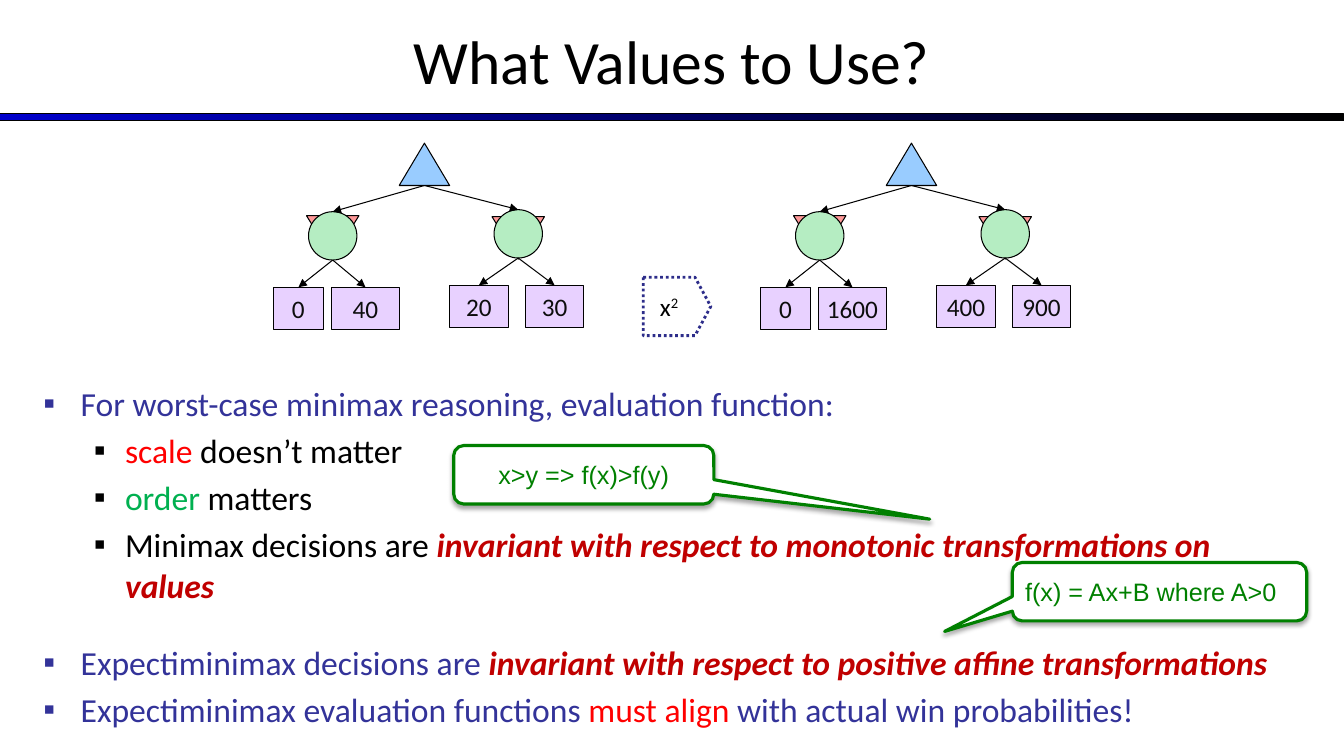
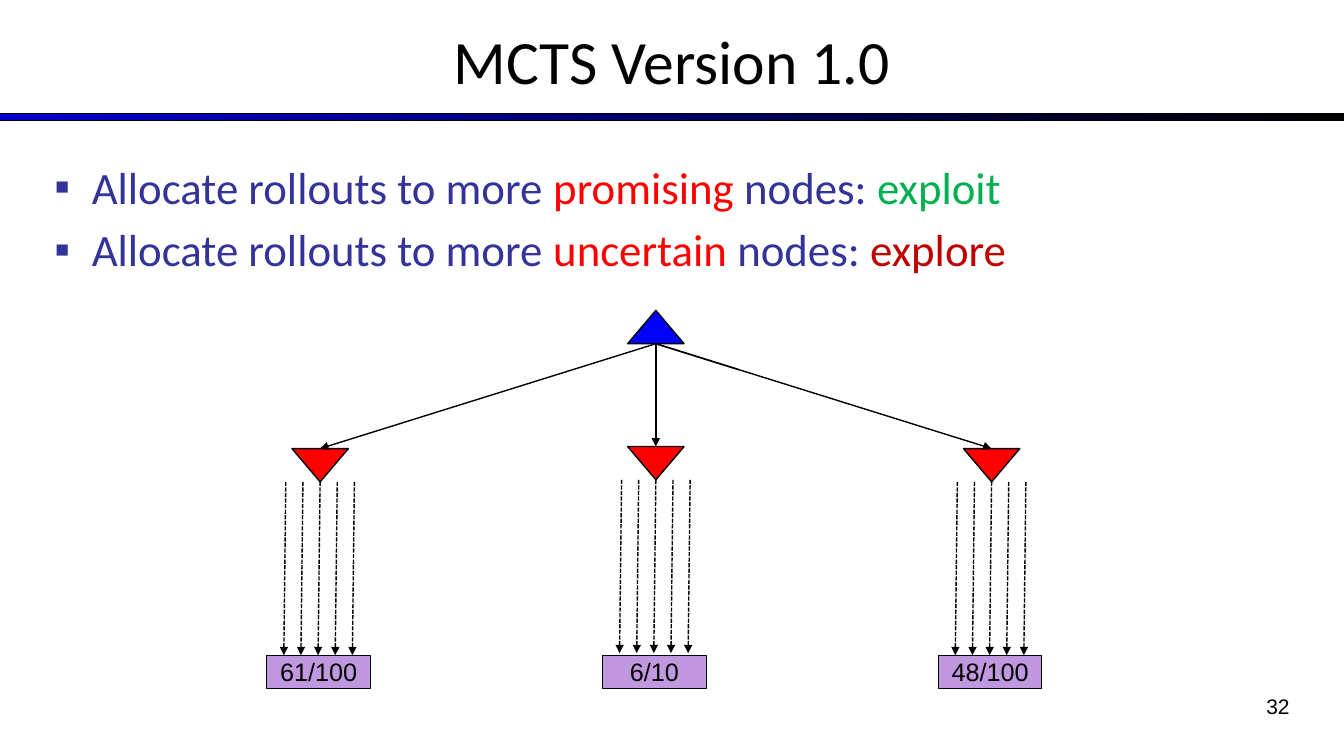
"""Build two lecture slides on evaluation values and Monte Carlo tree search."""
from dataclasses import dataclass

from lxml import etree
from pptx import Presentation
from pptx import util as u
from pptx.dml import color
from pptx.enum import dml, shapes, text
from pptx.oxml import ns

SHAPE = shapes.MSO_SHAPE
ALIGN = text.PP_ALIGN


@dataclass(frozen=True)
class Theme:
    """Colours, fonts and type sizes of the deck."""
    black: str = "000000"
    white: str = "FFFFFF"
    band_start: str = "0000CC"
    bullet_blue: str = "333399"
    arrow_blue: str = "2D2D8A"
    red: str = "FF0000"
    dark_red: str = "C00000"
    green: str = "00B050"
    callout_green: str = "008000"
    max_pale: str = "99CCFF"
    min_pale: str = "FF9999"
    chance: str = "B5EDC2"
    leaf: str = "E8D1FF"
    leaf_text: str = "0D0D0D"
    max_strong: str = "0000FF"
    result: str = "C198E0"
    body_font: str = "Calibri"
    label_font: str = "Arial"
    title_size: int = 44
    label_size: int = 18
    number_size: int = 15


THEME = Theme()


@dataclass(frozen=True)
class Box:
    """A rectangle in inches."""
    left: float
    top: float
    width: float = 0
    height: float = 0

    def inner(self, left, top, width, height):
        """Return a box placed relative to this one."""
        return Box(self.left + left, self.top + top, width, height)

    def point(self, x, y):
        """Return a point placed relative to this box."""
        return self.left + x, self.top + y

    def lengths(self):
        """Return left, top, width and height as lengths."""
        return [u.Inches(value) for value in (self.left, self.top, self.width, self.height)]


def rgb(value):
    """Return a colour object for a hex value."""
    return color.RGBColor.from_string(value)


def style_font(font, size=None, name=None, hue=None):
    """Set the given properties of a font."""
    if size:
        font.size = u.Pt(size)
    if name:
        font.name = name
    if hue:
        font.color.rgb = rgb(hue)


def add_node(slide, kind, box, fill, line=THEME.black, weight=0.75, rotation=0):
    """Add a filled, outlined shape without a shadow."""
    shape = slide.shapes.add_shape(kind, *box.lengths())
    shape.shadow.inherit = False
    shape.fill.solid()
    shape.fill.fore_color.rgb = rgb(fill)
    shape.line.color.rgb = rgb(line)
    shape.line.width = u.Pt(weight)
    shape.rotation = rotation
    return shape


def write_label(shape, words, hue, name, alignment=ALIGN.CENTER, wrap=True):
    """Write one vertically centred paragraph in a shape."""
    frame = shape.text_frame
    frame.word_wrap = wrap
    frame.vertical_anchor = text.MSO_ANCHOR.MIDDLE
    paragraph = frame.paragraphs[0]
    paragraph.alignment = alignment
    style_font(paragraph.font, THEME.label_size, name, hue)
    paragraph.add_run().text = words
    return paragraph


def add_line(slide, start, end, weight=0.75, arrow=True, dash=None):
    """Add a straight line, with an arrowhead at its end if asked."""
    ends = [u.Inches(value) for value in (*start, *end)]
    connector = slide.shapes.add_connector(shapes.MSO_CONNECTOR.STRAIGHT, *ends)
    connector.line.color.rgb = rgb(THEME.black)
    connector.line.width = u.Pt(weight)
    if dash:
        connector.line.dash_style = dash
    if arrow:
        outline = connector.line.fill and connector.get_or_add_ln()
        etree.SubElement(outline, ns.qn("a:tailEnd"), type="triangle")
    properties = connector.element.find(ns.qn("p:spPr"))
    etree.SubElement(properties, ns.qn("a:effectLst"))


def prepare_layout(presentation):
    """Place the title and the gradient band on the shared layout."""
    layout = presentation.slide_layouts[1]
    title = layout.placeholders[0]
    title.left, title.top, title.width, title.height = Box(0, -0.03, 13.33, 1.25).lengths()
    return layout


def add_band(slide, box):
    """Draw the gradient band behind the slide content."""
    band = add_node(slide, SHAPE.RECTANGLE, box, THEME.band_start)
    band.fill.gradient()
    band.fill.gradient_angle = 0
    stops = band.fill.gradient_stops
    for stop, position, hue in zip(stops, (0, 1), (THEME.band_start, THEME.black)):
        stop.position = position
        stop.color.rgb = rgb(hue)
    return band


def add_slide(presentation, layout, heading):
    """Add a slide with its title."""
    slide = presentation.slides.add_slide(layout)
    slide.shapes.title.text_frame.text = heading
    paragraph = slide.shapes.title.text_frame.paragraphs[0]
    paragraph.alignment = ALIGN.CENTER
    style_font(paragraph.font, THEME.title_size, THEME.body_font, THEME.black)
    return slide


def add_bullet(paragraph, level, hue):
    """Give a paragraph a square bullet and hanging indent."""
    margin, hanging = ((0.37, 0.37), (0.81, 0.31))[level]
    paragraph.level = level
    properties = paragraph._p.get_or_add_pPr()
    properties.set("marL", str(u.Inches(margin)))
    properties.set("indent", str(-u.Inches(hanging)))
    bullet_color = etree.SubElement(properties, ns.qn("a:buClr"))
    etree.SubElement(bullet_color, ns.qn("a:srgbClr"), val=hue)
    etree.SubElement(properties, ns.qn("a:buFont"), typeface=THEME.label_font)
    etree.SubElement(properties, ns.qn("a:buChar"), char="▪")


def fill_body(slide, box, size, items):
    """Fill the body with (level, space before, runs) items."""
    body = slide.placeholders[1]
    body.left, body.top, body.width, body.height = box.lengths()
    frame = body.text_frame
    frame.auto_size = text.MSO_AUTO_SIZE.NONE
    for index, (level, space, runs) in enumerate(items):
        paragraph = frame.add_paragraph() if index else frame.paragraphs[0]
        hue = THEME.black if level else THEME.bullet_blue
        add_bullet(paragraph, level, hue)
        paragraph.space_before = u.Pt(space)
        style_font(paragraph.font, size, THEME.body_font, hue)
        for words, accent, strong in runs:
            run = paragraph.add_run()
            run.text = words
            style_font(run.font, hue=accent)
            if strong:
                run.font.bold = run.font.italic = True


def plain(words, accent=None):
    """Return a regular run."""
    return words, accent, False


def strong(words):
    """Return a dark red bold italic run."""
    return words, THEME.dark_red, True


def draw_value_tree(slide, box, values):
    """Draw a max node over two chance nodes with two leaves each."""
    branches = (
        (0.59, 0.68, 0.72, ((0, 0.5), (0.58, 0.67))),
        (2.43, 0.66, 0.73, ((1.75, 0.58), (2.5, 0.58))),
    )
    root, diameter, height = 1.5, 0.48, 0.42
    for (center, top, min_top, leaves), pair in zip(branches, values):
        add_node(slide, SHAPE.ISOSCELES_TRIANGLE, box.inner(center - 0.26, min_top, 0.52, height),
                 THEME.min_pale, rotation=180)
        add_node(slide, SHAPE.OVAL, box.inner(center - diameter / 2, top, diameter, diameter),
                 THEME.chance)
        add_line(slide, box.point(root, height), box.point(center, top))
        leaf_top = top + 0.75
        for (left, width), value in zip(leaves, pair):
            leaf = add_node(slide, SHAPE.RECTANGLE, box.inner(left, leaf_top, width, height),
                            THEME.leaf)
            write_label(leaf, value, THEME.leaf_text, THEME.body_font, wrap=False)
            add_line(slide, box.point(center, top + diameter),
                     box.point(left + width / 2, leaf_top))
    add_node(slide, SHAPE.ISOSCELES_TRIANGLE, box.inner(root - 0.25, 0, 0.5, height),
             THEME.max_pale)


def draw_square_arrow(slide, box):
    """Draw the dotted arrow that squares the leaf values."""
    arrow = add_node(slide, SHAPE.RIGHT_ARROW, box, THEME.white, THEME.arrow_blue, 2)
    arrow.line.dash_style = dml.MSO_LINE.ROUND_DOT
    arrow.adjustments[0], arrow.adjustments[1] = 1, 0.27
    paragraph = write_label(arrow, "x", THEME.black, THEME.body_font)
    exponent = paragraph.add_run()
    exponent.text = "2"
    exponent._r.get_or_add_rPr().set("baseline", "30000")


def draw_callout(slide, box, words, pointer, alignment):
    """Draw a green callout with a soft shadow."""
    callout = add_node(slide, SHAPE.ROUNDED_RECTANGULAR_CALLOUT, box, THEME.white,
                       THEME.callout_green, 2.25)
    for index, value in enumerate((*pointer, 0.17)):
        callout.adjustments[index] = value
    effects = callout.element.spPr.find(ns.qn("a:effectLst"))
    shadow = etree.SubElement(effects, ns.qn("a:outerShdw"), blurRad=str(u.Pt(3.1)),
                              dist=str(u.Pt(1.8)), dir="5400000", rotWithShape="0")
    shade = etree.SubElement(shadow, ns.qn("a:srgbClr"), val=THEME.black)
    etree.SubElement(shade, ns.qn("a:alpha"), val="35000")
    write_label(callout, words, THEME.callout_green, THEME.label_font, alignment)


def draw_rollout_tree(slide, box, results):
    """Draw a root whose children each send five rollouts to a result."""
    root, width, height, step = box.width / 2, 0.56, 0.33, 3.33
    start = box.point(root, height)
    add_node(slide, SHAPE.ISOSCELES_TRIANGLE, box.inner(root - width / 2, 0, width, height),
             THEME.max_strong, weight=1)
    for end in ((root, 0.67), (root + 0.83, 0.59)):
        add_line(slide, start, box.point(*end), 1, arrow=False)
    for index, result in enumerate(results):
        center = root + (index - 1) * step
        top = 1.35 if index == 1 else 1.37
        add_node(slide, SHAPE.ISOSCELES_TRIANGLE,
                 box.inner(center - width / 2, top, width, height), THEME.red,
                 weight=1, rotation=180)
        add_line(slide, start, box.point(center, top), 1)
        label = add_node(slide, SHAPE.RECTANGLE, box.inner(center - 0.53, 3.42, 1.03, height),
                         THEME.result)
        write_label(label, result, THEME.black, THEME.label_font, wrap=False)
        for rollout in range(-2, 3):
            x = center + rollout * 0.17
            add_line(slide, box.point(x, top + height), box.point(x - 0.02, top + 2.05), 1,
                     dash=dml.MSO_LINE.SQUARE_DOT)


def add_slide_number(slide, box, number):
    """Write the slide number at the lower right."""
    frame = slide.shapes.add_textbox(*box.lengths()).text_frame
    frame.word_wrap = True
    paragraph = frame.paragraphs[0]
    paragraph.alignment = ALIGN.RIGHT
    style_font(paragraph.font, THEME.number_size, THEME.label_font, THEME.black)
    paragraph.add_run().text = number


def build_values_slide(presentation, layout):
    """Build the slide on choosing evaluation values."""
    slide = add_slide(presentation, layout, "What Values to Use?")
    fill_body(slide, Box(0.33, 3.75, 12.42, 3.42), 24, [
        (0, 0, [plain("For worst-case minimax reasoning, evaluation function:")]),
        (1, 4.8, [plain("scale", THEME.red), plain(" doesn’t matter")]),
        (1, 4.8, [plain("order", THEME.green), plain(" matters")]),
        (1, 4.8, [plain("Minimax decisions are "),
                  strong("invariant with respect to monotonic transformations on values")]),
        (0, 26.4, [plain("Expectiminimax decisions are "),
                   strong("invariant with respect to positive affine transformations")]),
        (0, 4.8, [plain("Expectiminimax evaluation functions "), plain("must align", THEME.red),
                  plain(" with actual win probabilities!")]),
    ])
    draw_value_tree(slide, Box(2.71, 1.42), (("0", "40"), ("20", "30")))
    draw_square_arrow(slide, Box(6.38, 2.75, 0.67, 0.58))
    draw_value_tree(slide, Box(7.54, 1.42), (("0", "1600"), ("400", "900")))
    draw_callout(slide, Box(4.5, 4.42, 2.58, 0.58), "x>y => f(x)>f(y)", (1.33, 0.76), ALIGN.CENTER)
    draw_callout(slide, Box(10.04, 5.58, 2.92, 0.58), "f(x) = Ax+B where A>0", (-0.73, 0.68),
                 ALIGN.LEFT)
    return slide


def build_search_slide(presentation, layout):
    """Build the slide on allocating rollouts."""
    slide = add_slide(presentation, layout, "MCTS Version 1.0")
    choices = (("promising", "exploit", THEME.green), ("uncertain", "explore", THEME.dark_red))
    fill_body(slide, Box(0.44, 1.53, 12.44, 1.39), 32, [
        (0, 6.4 * index, [plain("Allocate rollouts to more "), plain(quality, THEME.red),
                          plain(" nodes: "), plain(action, hue)])
        for index, (quality, action, hue) in enumerate(choices)])
    draw_rollout_tree(slide, Box(2.64, 3.08, 7.73, 3.75), ("61/100", "6/10", "48/100"))
    add_slide_number(slide, Box(10.56, 6.83, 2.33, 0.52), "32")


def main():
    """Build and save the deck."""
    presentation = Presentation()
    presentation.slide_width, presentation.slide_height = u.Inches(13.33), u.Inches(7.5)
    layout = prepare_layout(presentation)
    slide = build_values_slide(presentation, layout)
    band = add_band(slide, Box(0, 1.13, 13.33, 0.07))
    layout.shapes.element.insert(2, band.element)
    build_search_slide(presentation, layout)
    presentation.save("out.pptx")


if __name__ == "__main__":
    main()
